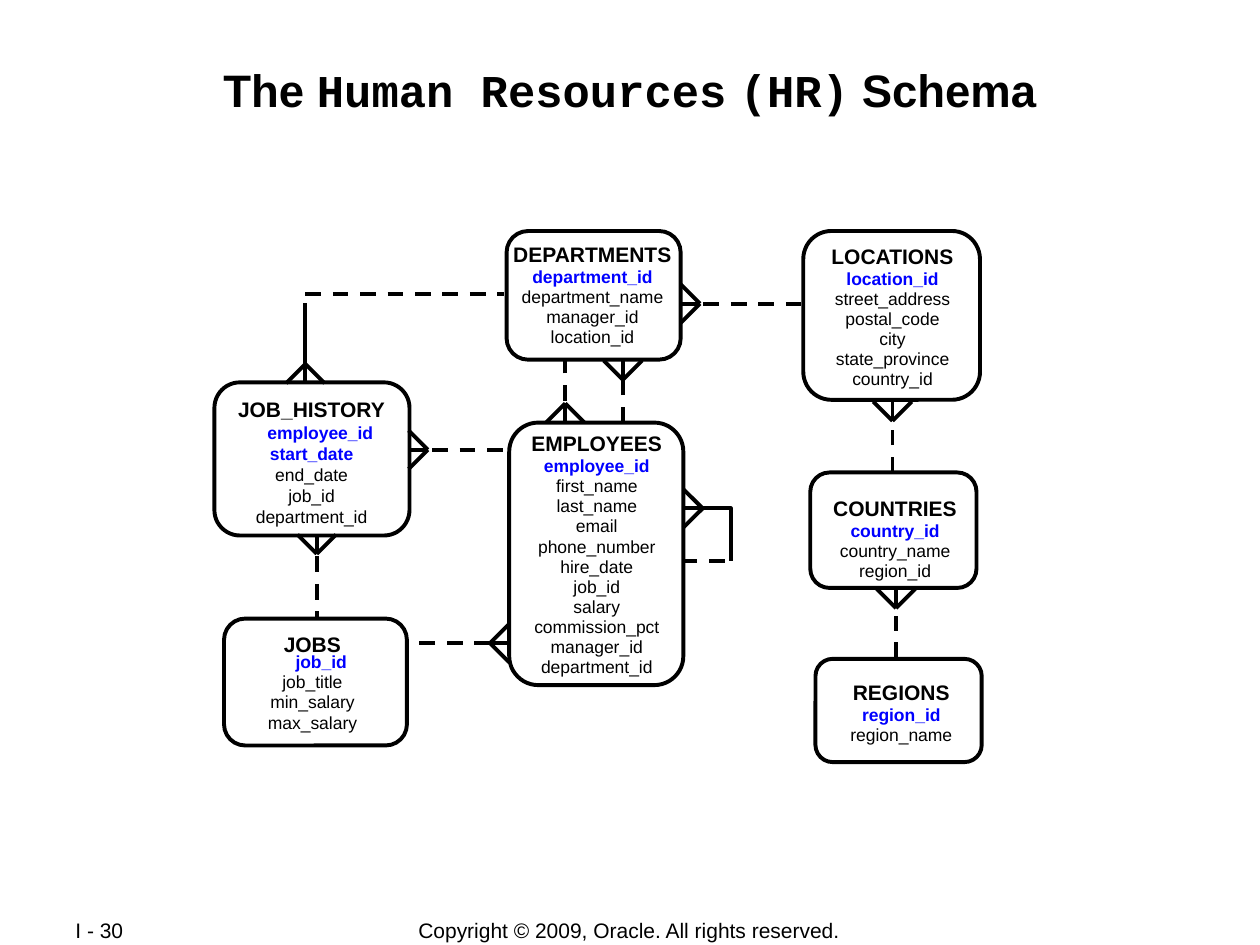
"""Build the entity-relationship slide of the Human Resources schema."""
from dataclasses import dataclass

from lxml.etree import SubElement
from pptx import Presentation
from pptx.dml.color import RGBColor
from pptx.enum.dml import MSO_LINE
from pptx.enum.shapes import MSO_CONNECTOR, MSO_SHAPE
from pptx.enum.text import MSO_ANCHOR, MSO_AUTO_SIZE, PP_ALIGN
from pptx.oxml.ns import qn
from pptx.slide import Slide
from pptx.text.text import Font, TextFrame
from pptx.util import Pt

BLACK, BLUE = "000000", "0000FF"
SANS, MONO = "Arial", "Courier New"
LINE_WIDTH = 2.25
FOOT_SIZE = 11
HANGING = 10

Box = tuple[float, float, float, float]


@dataclass
class Entity:
    name: str
    keys: list[str]
    columns: list[str]
    outline: Box
    label: Box
    separator: str = "\n"
    first_spacing: float = 0.75
    spacing: float = 0.75


@dataclass
class CrowFoot:
    x: float
    y: float
    dx: int
    dy: int


@dataclass
class Line:
    x1: float
    y1: float
    x2: float
    y2: float
    dashed: bool = True


ENTITIES = [
    Entity("DEPARTMENTS", ["department_id"],
           ["department_name", "manager_id", "location_id"],
           (289.5, 132, 99.5, 73.5), (289.5, 138, 98, 59)),
    Entity("LOCATIONS", ["location_id"],
           ["street_address", "postal_code", "city", "state_province", "country_id"],
           (459, 132, 101, 96.5), (470, 139, 80, 77)),
    Entity("COUNTRIES", ["country_id"], ["country_name", "region_id"],
           (463, 270, 95, 66), (471.5, 283, 80, 49)),
    Entity("REGIONS", ["region_id"], ["region_name"],
           (466, 376.5, 95, 59), (480, 388, 70, 34.5)),
    Entity("EMPLOYEES", ["employee_id"],
           ["first_name", "last_name", "email", "phone_number", "hire_date", "job_id",
            "salary", "commission_pct", "manager_id", "department_id"],
           (291, 241.5, 99.5, 150), (282, 246, 118, 140.5)),
    Entity("JOB_HISTORY", ["employee_id", "start_date"],
           ["end_date", "job_id", "department_id"],
           (122.5, 218.5, 111.5, 87.5), (130, 223, 96, 77), "\v", 1.0, 0.8),
    Entity("JOBS", ["job_id"], ["job_title", "min_salary", "max_salary"],
           (128, 353.5, 104.5, 72.5), (146, 360.5, 65, 59), "\v"),
]

CROW_FEET = [
    CrowFoot(512, 347.5, 0, -1),
    CrowFoot(400, 173.5, -1, 0),
    CrowFoot(174.5, 208, 0, 1),
    CrowFoot(356, 217, 0, -1),
    CrowFoot(323, 230.5, 0, 1),
    CrowFoot(244.5, 257, -1, 0),
    CrowFoot(181, 316.5, 0, -1),
    CrowFoot(510, 240.5, 0, -1),
    CrowFoot(280, 367.5, 1, 0),
    CrowFoot(401.5, 290.5, -1, 0),
]

LINES = [
    Line(174.5, 208, 174.5, 173, dashed=False),
    Line(174.5, 168, 288, 168),
    Line(414, 320.5, 390.5, 320.5),
    Line(280, 367.5, 232, 367.5),
    Line(247, 257, 289.5, 257),
    Line(402, 173.5, 461.5, 173.5),
    Line(323, 229, 323, 205.5),
    Line(356, 241.5, 356, 217),
    Line(510, 270, 510, 245.5),
    Line(512, 376, 512, 352),
    Line(181, 318, 181, 354),
]

TITLE_RUNS = [("The ", SANS), ("Human Resources", MONO), (" ", SANS), ("(HR)", MONO),
              (" Schema", SANS)]


def hex_color(value: str) -> RGBColor:
    return RGBColor.from_string(value)


def style_font(font: Font, size: float, color: str = BLACK, bold: bool = False,
               name: str = SANS) -> None:
    font.name, font.size, font.bold = name, Pt(size), bold
    font.color.rgb = hex_color(color)


def add_text(slide: Slide, box: Box, text: str) -> TextFrame:
    text_frame = slide.shapes.add_textbox(*map(Pt, box)).text_frame
    text_frame.word_wrap = True
    text_frame.text = text
    return text_frame


def style_outline(shape) -> None:
    shape.shadow.inherit = False
    shape.fill.background()
    shape.line.color.rgb = hex_color(BLACK)
    shape.line.width = Pt(LINE_WIDTH)


def add_entity(slide: Slide, entity: Entity) -> None:
    style_outline(slide.shapes.add_shape(
        MSO_SHAPE.FLOWCHART_ALTERNATE_PROCESS, *map(Pt, entity.outline)))
    rows = "\n".join(entity.keys + entity.columns)
    text_frame = add_text(slide, entity.label, entity.name + entity.separator + rows)
    text_frame.margin_left = text_frame.margin_right = Pt(0)
    for index, paragraph in enumerate(text_frame.paragraphs):
        properties = paragraph._p.get_or_add_pPr()
        properties.set("marL", str(Pt(HANGING)))
        properties.set("indent", str(Pt(-HANGING)))
        paragraph.alignment = PP_ALIGN.CENTER
        paragraph.line_spacing = entity.spacing if index else entity.first_spacing
        paragraph.space_before = Pt(2.5 if index else 0)
        for line_break in paragraph._p.findall(qn("a:br")):
            SubElement(line_break, qn("a:rPr")).set("sz", "1200")
        for run in paragraph.runs:
            is_name, is_key = run.text == entity.name, run.text in entity.keys
            style_font(run.font, 12 if is_name else 10, BLUE if is_key else BLACK,
                       is_name or is_key)


def add_line(slide: Slide, line: Line) -> None:
    ends = map(Pt, (line.x1, line.y1, line.x2, line.y2))
    connector = slide.shapes.add_connector(MSO_CONNECTOR.STRAIGHT, *ends)
    connector.line.color.rgb = hex_color(BLACK)
    connector.line.width = Pt(LINE_WIDTH)
    if line.dashed:
        connector.line.dash_style = MSO_LINE.DASH
    SubElement(connector.element.spPr, qn("a:effectLst"))


def add_crow_foot(slide: Slide, foot: CrowFoot) -> None:
    for side in (-1, 0, 1):
        end_x = foot.x + FOOT_SIZE * (foot.dx + side * foot.dy)
        end_y = foot.y + FOOT_SIZE * (foot.dy + side * foot.dx)
        add_line(slide, Line(foot.x, foot.y, end_x, end_y, dashed=False))


def add_self_reference(slide: Slide) -> None:
    builder = slide.shapes.build_freeform(Pt(401.5), Pt(290.5))
    corners = [(417.5, 290.5), (417.5, 320.5)]
    builder.add_line_segments([(Pt(x), Pt(y)) for x, y in corners], close=False)
    style_outline(builder.convert_to_shape())


def add_title(slide: Slide) -> None:
    title = slide.shapes.title
    title.left, title.top, title.width, title.height = map(Pt, (48, 34.5, 624, 69))
    text_frame = title.text_frame
    text_frame.auto_size = MSO_AUTO_SIZE.NONE
    text_frame.vertical_anchor = MSO_ANCHOR.TOP
    text_frame.margin_left = text_frame.margin_right = Pt(1)
    text_frame.margin_top = text_frame.margin_bottom = Pt(1)
    paragraph = text_frame.paragraphs[0]
    paragraph.alignment = PP_ALIGN.CENTER
    for text, font_name in TITLE_RUNS:
        run = paragraph.add_run()
        run.text = text
        style_font(run.font, 26, bold=True, name=font_name)


def add_footer(slide: Slide, box: Box, text: str, alignment: PP_ALIGN) -> None:
    text_frame = add_text(slide, box, text)
    text_frame.vertical_anchor = MSO_ANCHOR.MIDDLE
    paragraph = text_frame.paragraphs[0]
    paragraph.alignment = alignment
    style_font(paragraph.runs[0].font, 12)


def main() -> None:
    presentation = Presentation()
    presentation.slide_width, presentation.slide_height = Pt(720), Pt(540)
    slide = presentation.slides.add_slide(presentation.slide_layouts[5])
    add_title(slide)
    add_footer(slide, (198, 524, 323, 15), "Copyright © 2009, Oracle. All rights reserved.",
               PP_ALIGN.CENTER)
    add_footer(slide, (36, 524, 76, 15), "I - 30", PP_ALIGN.LEFT)
    for entity in ENTITIES:
        add_entity(slide, entity)
    for foot in CROW_FEET:
        add_crow_foot(slide, foot)
    add_self_reference(slide)
    for line in LINES:
        add_line(slide, line)
    presentation.save("out.pptx")


if __name__ == "__main__":
    main()
